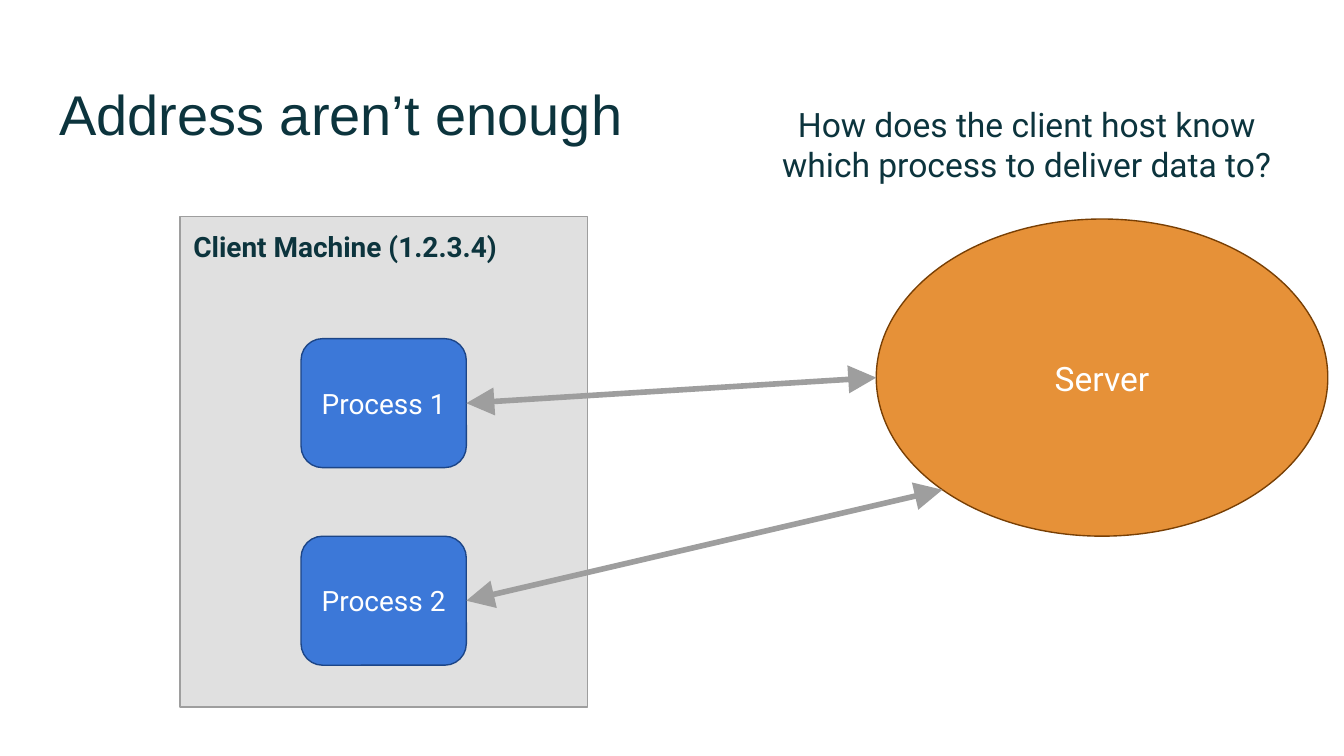
import math

import pptx
import pptx.dml.color
import pptx.enum.shapes
import pptx.enum.text
import pptx.oxml
import pptx.oxml.ns
import pptx.util

Inches = pptx.util.Inches
SHAPE = pptx.enum.shapes.MSO_SHAPE
ALIGN = pptx.enum.text.PP_ALIGN
ANCHOR = pptx.enum.text.MSO_ANCHOR

# Content
TITLE = "Address aren’t enough"
QUESTION = "How does the client host know which process to deliver data to?"
CLIENT = "Client Machine (1.2.3.4)"
PROCESSES = ["Process 1", "Process 2"]
SERVER = "Server"

# Theme: colours and type sizes
THEME = {
    "ink": "0C343D", "white": "FFFFFF", "arrow": "9E9E9E", "arrow_width": 3,
    "client": ("E0E0E0", "9E9E9E"),
    "process": ("3C78D8", "1C4587"),
    "server": ("E69138", "783F04"),
    "title_size": 30, "large": 18, "small": 15,
    "title_font": "Arial", "font": "Roboto",
}

# Layout, in inches: left, top, width, height
TITLE_BOX = (0.34, 0.49, 9.32, 0.63)
QUESTION_BOX = (5.54, 0.67, 4.2, 0.94)
CLIENT_BOX = (1.34, 1.61, 3.03, 3.65)
SERVER_BOX = (6.52, 1.63, 3.36, 2.36)
PROCESS_BOX = (2.24, 2.52, 1.23, 0.96)
PROCESS_STEP = 1.47
SERVER_ANGLES = [180, 135]  # where each arrow meets the server, clockwise from its right


def colour(value):
    return pptx.dml.color.RGBColor.from_string(value)


def set_all(target, values):
    for name, value in values.items():
        setattr(target, name, value)


def write(box, text, size, ink, font=THEME["font"], bold=False,
          align=ALIGN.CENTER, anchor=ANCHOR.MIDDLE):
    frame = box.text_frame
    margins = dict.fromkeys(
        ["margin_left", "margin_top", "margin_right", "margin_bottom"], Inches(0.1))
    set_all(frame, {"word_wrap": True, "vertical_anchor": anchor,
                    "auto_size": pptx.enum.text.MSO_AUTO_SIZE.NONE, **margins})
    para = frame.paragraphs[0]
    para.alignment = align
    span = para.add_run()
    span.text = text
    set_all(span.font, {"name": font, "size": pptx.util.Pt(size), "bold": bold})
    span.font.color.rgb = colour(ink)


def add_block(kind, place, style):
    block = page.shapes.add_shape(kind, *map(Inches, place))
    block.shadow.inherit = False
    fill, line = THEME[style]
    block.fill.solid()
    block.fill.fore_color.rgb = colour(fill)
    block.line.color.rgb = colour(line)
    block.line.width = pptx.util.Pt(0.75)
    return block


def add_arrow(process, end):
    start = (process.left + process.width, process.top + process.height // 2)
    arrow = page.shapes.add_connector(
        pptx.enum.shapes.MSO_CONNECTOR.STRAIGHT, *start, *map(Inches, end))
    arrow.begin_connect(process, 3)
    arrow.line.color.rgb = colour(THEME["arrow"])
    arrow.line.width = pptx.util.Pt(THEME["arrow_width"])
    namespace = pptx.oxml.ns.nsdecls("a")
    outline = arrow.line._get_or_add_ln()
    for tag in ("a:headEnd", "a:tailEnd"):
        outline.append(pptx.oxml.parse_xml(
            f'<{tag} {namespace} type="triangle" w="lg" len="lg"/>'))
    arrow._element.spPr.append(pptx.oxml.parse_xml(f"<a:effectLst {namespace}/>"))


def server_edge(degrees):
    left, top, width, height = SERVER_BOX
    angle = math.radians(degrees)
    return (left + width / 2 * (1 + math.cos(angle)),
            top + height / 2 * (1 + math.sin(angle)))


# Widescreen page, 16 to 9
deck = pptx.Presentation()
deck.slide_width = Inches(10)
deck.slide_height = Inches(10 * 9 / 16)
page = deck.slides.add_slide(deck.slide_layouts[5])

# Title
title = page.shapes.title
set_all(title, dict(zip(["left", "top", "width", "height"], map(Inches, TITLE_BOX))))
write(title, TITLE, THEME["title_size"], THEME["ink"], font=THEME["title_font"],
      align=ALIGN.LEFT, anchor=ANCHOR.TOP)

# Server and client machine
server = add_block(SHAPE.OVAL, SERVER_BOX, "server")
write(server, SERVER, THEME["large"], THEME["white"])
client = add_block(SHAPE.RECTANGLE, CLIENT_BOX, "client")
write(client, CLIENT, THEME["small"], THEME["ink"], bold=True,
      align=ALIGN.LEFT, anchor=ANCHOR.TOP)

# Processes inside the client
processes = []
left, top, width, height = PROCESS_BOX
for index, name in enumerate(PROCESSES):
    place = (left, top + index * PROCESS_STEP, width, height)
    process = add_block(SHAPE.ROUNDED_RECTANGLE, place, "process")
    write(process, name, THEME["small"], THEME["white"])
    processes.append(process)

# Two-way arrows between processes and server
for process, angle in zip(processes, SERVER_ANGLES):
    add_arrow(process, server_edge(angle))

# Question
question = page.shapes.add_textbox(*map(Inches, QUESTION_BOX))
write(question, QUESTION, THEME["large"], THEME["ink"], anchor=ANCHOR.TOP)

deck.save("out.pptx")
